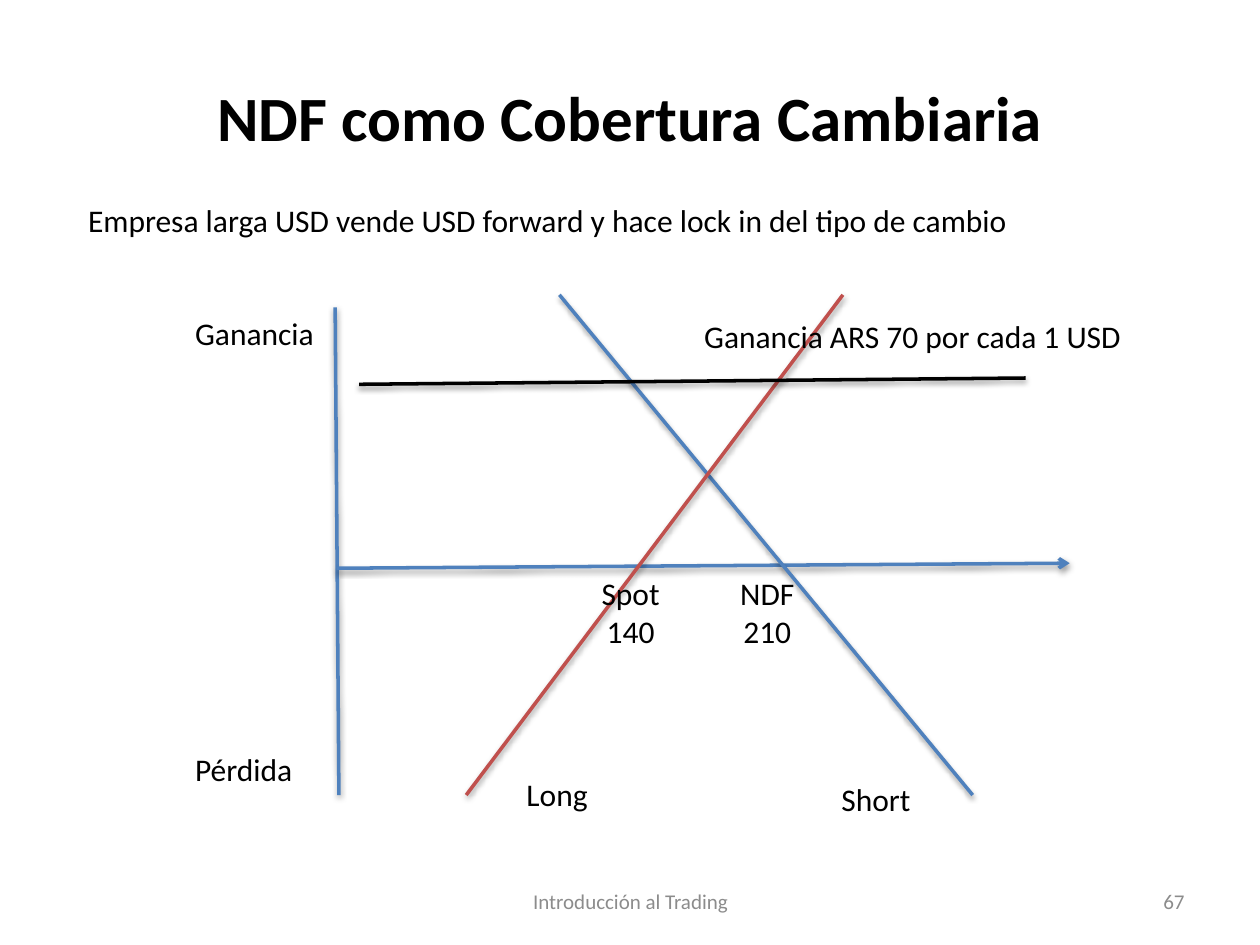
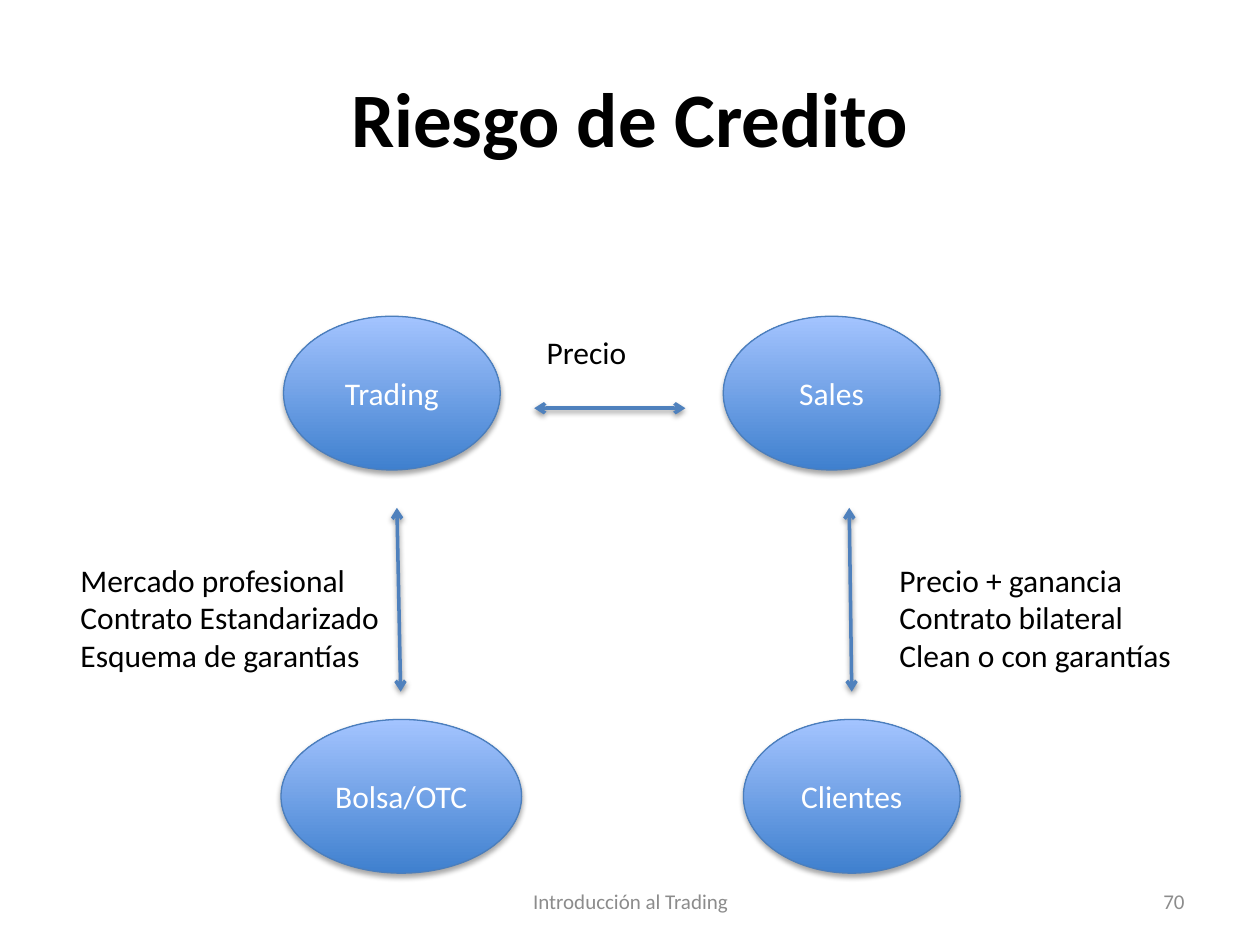
from dataclasses import dataclass

from lxml.etree import SubElement
from pptx import Presentation
from pptx.dml.color import RGBColor
from pptx.enum.shapes import MSO_CONNECTOR, MSO_SHAPE
from pptx.enum.text import MSO_ANCHOR, MSO_AUTO_SIZE, PP_ALIGN
from pptx.oxml.ns import qn
from pptx.util import Inches, Pt


@dataclass(frozen=True)
class Theme:
    font: str = "Calibri"
    ink: str = "000000"
    muted: str = "8C8C8C"
    white: str = "FFFFFF"
    blue: str = "4F81BD"
    red: str = "C0504D"
    outline: str = "4B7EBC"
    gradient: tuple = ("3F80CE", "A4C4FF")
    title_size: int = 44
    long_title_size: int = 36
    body_size: int = 18
    footer_size: int = 12


def apply_format(target, values):
    for name, value in values.items():
        setattr(target, name, value)


class Deck:
    def __init__(self, theme):
        self.theme = theme
        self.presentation = Presentation()
        self.presentation.slide_width = Inches(10)
        self.presentation.slide_height = Inches(7.5)
        self.slide = None

    def new_slide(self, title, number, title_size):
        theme = self.theme
        self.slide = self.presentation.slides.add_slide(self.presentation.slide_layouts[6])
        self.block(0.5, 0.3, 9, 1.25, title, PP_ALIGN.CENTER, size=title_size, bold=True)
        footer = {"size": theme.footer_size, "color": theme.muted}
        self.block(3.42, 6.95, 3.17, 0.4, "Introducción al Trading", PP_ALIGN.CENTER, **footer)
        self.block(7.17, 6.95, 2.33, 0.4, str(number), PP_ALIGN.RIGHT, **footer)

    def set_text(self, frame, text, align, size=None, color=None, bold=False):
        """Fill a text frame, one paragraph per line of text."""
        frame.text = text
        font_format = {"name": self.theme.font, "size": Pt(size or self.theme.body_size), "bold": bold}
        for paragraph in frame.paragraphs:
            paragraph.alignment = align
            apply_format(paragraph.font, font_format)
            paragraph.font.color.rgb = RGBColor.from_string(color or self.theme.ink)

    def text_box(self, left, top, width, height, frame_format):
        frame = self.slide.shapes.add_textbox(*map(Inches, (left, top, width, height))).text_frame
        apply_format(frame, frame_format)
        return frame

    def block(self, left, top, width, height, text, align, **style):
        """Wrapped text, centred vertically in a fixed box."""
        frame_format = {"word_wrap": True, "vertical_anchor": MSO_ANCHOR.MIDDLE}
        self.set_text(self.text_box(left, top, width, height, frame_format), text, align, **style)

    def label(self, left, top, width, text, align=PP_ALIGN.LEFT, wrap=False):
        """Body text in a box that is as high as its lines."""
        height = 0.1 + 0.3 * len(text.split("\n"))
        frame_format = {"word_wrap": wrap, "auto_size": MSO_AUTO_SIZE.SHAPE_TO_FIT_TEXT}
        self.set_text(self.text_box(left, top, width, height, frame_format), text, align)

    def cast_shadow(self, element, opacity, distance):
        effects = SubElement(element.spPr, qn("a:effectLst"))
        shadow = SubElement(effects, qn("a:outerShdw"), blurRad=str(Pt(3.1)), dist=str(Pt(distance)),
                            dir="5400000", rotWithShape="0")
        tint = SubElement(shadow, qn("a:srgbClr"), val=self.theme.ink)
        SubElement(tint, qn("a:alpha"), val=str(opacity * 1000))

    def line(self, start, end, color=None, arrows=()):
        """Draw a line; arrows lists the ends that carry one, head first."""
        connector = self.slide.shapes.add_connector(
            MSO_CONNECTOR.STRAIGHT, *map(Inches, (*start, *end)))
        connector.line.width = Pt(2)
        connector.line.color.rgb = RGBColor.from_string(color or self.theme.blue)
        outline = connector._element.spPr.find(qn("a:ln"))
        for end_name in arrows:
            SubElement(outline, qn(f"a:{end_name}End"), type="arrow")
        self.cast_shadow(connector._element, opacity=38, distance=1.6)

    def party(self, left, top, name, width=1.72):
        ellipse = self.slide.shapes.add_shape(
            MSO_SHAPE.OVAL, *map(Inches, (left, top, width, 1.22)))
        ellipse.fill.gradient()
        ellipse.fill.gradient_angle = 90
        for stop, color in zip(ellipse.fill.gradient_stops, self.theme.gradient):
            stop.color.rgb = RGBColor.from_string(color)
        ellipse.line.width = Pt(0.75)
        ellipse.line.color.rgb = RGBColor.from_string(self.theme.outline)
        self.cast_shadow(ellipse._element, opacity=35, distance=1.8)
        ellipse.text_frame.vertical_anchor = MSO_ANCHOR.MIDDLE
        self.set_text(ellipse.text_frame, name, PP_ALIGN.CENTER, color=self.theme.white)


def build_hedge(deck):
    theme = deck.theme
    chart_top, chart_bottom = 2.34, 6.31
    deck.new_slide("NDF como Cobertura Cambiaria", 67, theme.long_title_size)

    deck.line((2.66, 2.44), (2.69, chart_bottom))
    deck.line((2.67, 4.51), (8.49, 4.47), arrows=["tail"])
    deck.line((4.44, chart_top), (7.72, chart_bottom))
    deck.line((3.7, chart_bottom), (6.69, chart_top), theme.red)
    deck.line((2.85, 3.05), (8.14, 3), theme.ink)

    deck.label(1.45, 2.44, 1.15, "Ganancia")
    deck.label(1.45, 5.9, 0.99, "Pérdida")
    deck.label(4.67, 4.51, 0.67, "Spot\n140", PP_ALIGN.CENTER)
    deck.label(5.77, 4.51, 0.64, "NDF\n210", PP_ALIGN.CENTER)
    deck.label(6.58, 6.14, 0.76, "Short")
    deck.label(4.08, 6.1, 0.69, "Long")
    deck.label(0.6, 1.55, 8.42,
               "Empresa larga USD vende USD forward y hace lock in del tipo de cambio", wrap=True)
    deck.label(5.49, 2.47, 3.55, "Ganancia ARS 70 por cada 1 USD")


def build_credit_risk(deck):
    upper_row, lower_row = 2.51, 5.71
    both_ends = ["head", "tail"]
    deck.new_slide("Riesgo de Credito", 70, deck.theme.title_size)

    deck.party(5.74, upper_row, "Sales")
    deck.party(2.25, upper_row, "Trading")
    deck.party(2.23, lower_row, "Bolsa/OTC", width=1.91)
    deck.party(5.9, lower_row, "Clientes")

    deck.line((3.15, 4.03), (3.18, 5.49), arrows=both_ends)
    deck.line((6.74, 4.03), (6.76, 5.49), arrows=both_ends)
    deck.line((4.24, 3.24), (5.44, 3.24), arrows=both_ends)

    deck.label(0.54, 4.4, 2.6, "Mercado profesional\nContrato Estandarizado\nEsquema de garantías")
    deck.label(7.04, 4.4, 2.39, "Precio + ganancia\nContrato bilateral\nClean o con garantías")
    deck.label(4.24, 2.59, 0.84, "Precio")


def main():
    deck = Deck(Theme())
    build_hedge(deck)
    build_credit_risk(deck)
    deck.presentation.save("out.pptx")


if __name__ == "__main__":
    main()
